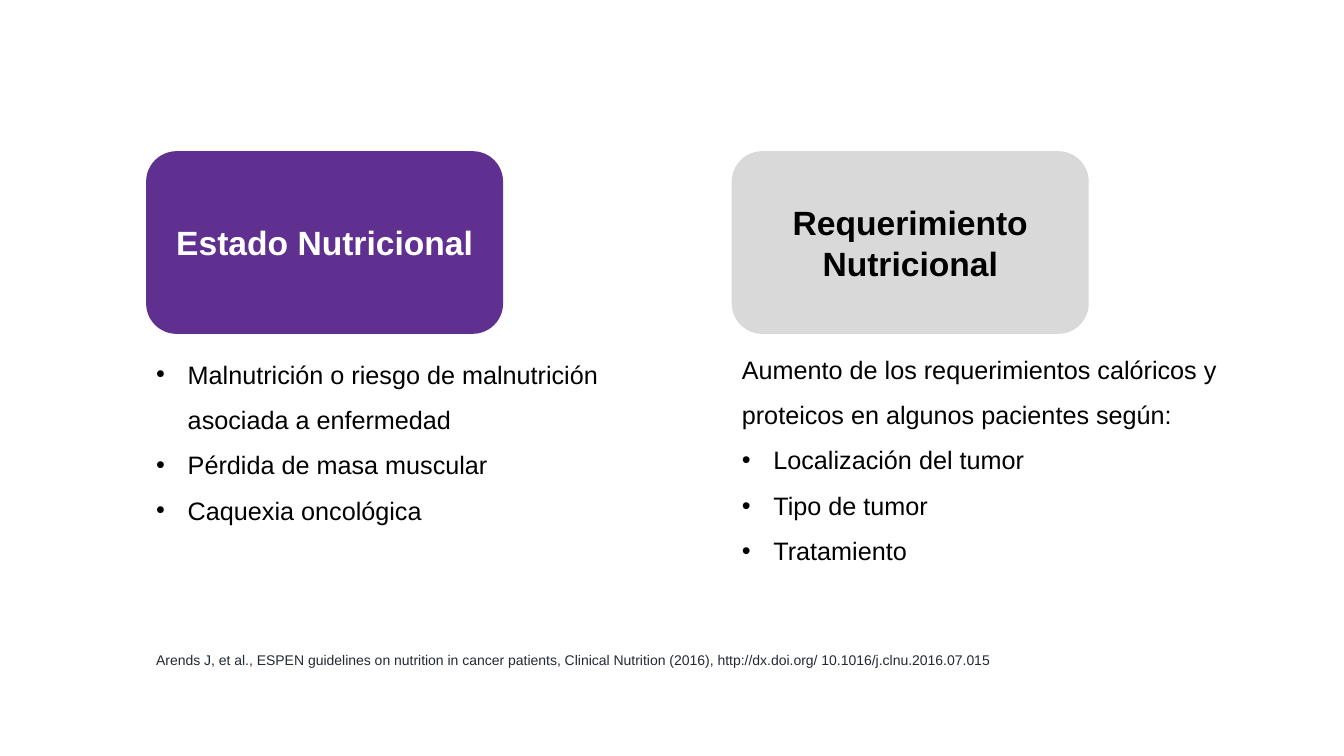
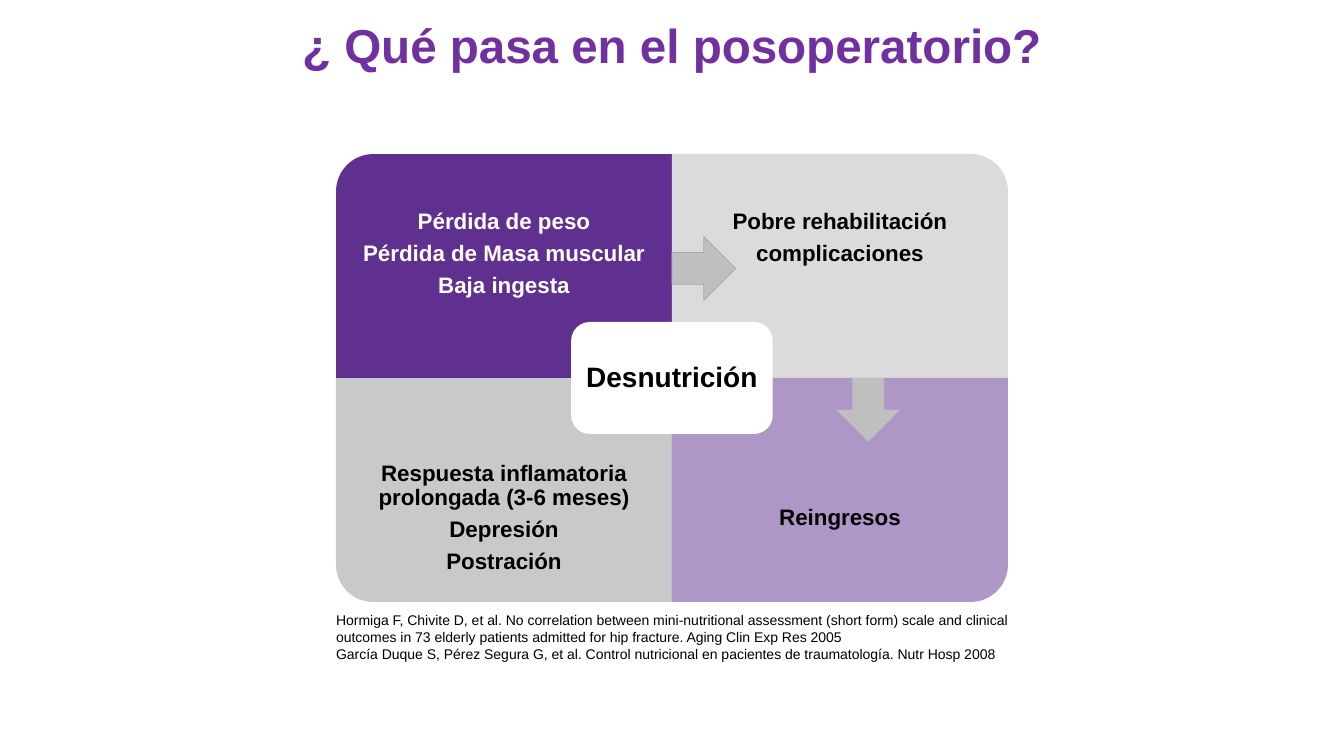
"""Build two slides on nutrition in cancer patients and after surgery."""
from pptx import Presentation
from pptx.dml.color import RGBColor
from pptx.enum.shapes import MSO_SHAPE as SHAPE
from pptx.enum.text import MSO_ANCHOR as ANCHOR, MSO_AUTO_SIZE as AUTO, PP_ALIGN as ALIGN
from pptx.oxml.ns import qn
from pptx.util import Pt
from lxml.etree import SubElement

BLACK = RGBColor(0x00, 0x00, 0x00)
WHITE = RGBColor(0xFF, 0xFF, 0xFF)
PURPLE = RGBColor(0x5F, 0x30, 0x90)
TITLE_PURPLE = RGBColor(0x70, 0x30, 0xA0)
SLATE = RGBColor(0x22, 0x2A, 0x35)
HEADING_GREY = RGBColor(0xD9, 0xD9, 0xD9)
LIGHT_GREY = RGBColor(0xDB, 0xDB, 0xDB)
MID_GREY = RGBColor(0xC9, 0xC9, 0xC9)
ARROW_GREY = RGBColor(0xBF, 0xBF, 0xBF)
ARROW_EDGE = RGBColor(0xA6, 0xA6, 0xA6)

FONT = "Arial"
SLIDE_W, SLIDE_H = 960, 540
BULLET_INDENT = 22.5

COLUMNS = [
    dict(heading="Estado Nutricional", fill=PURPLE, color=WHITE,
         left=104.4, top=242, width=343, height=134, intro=[],
         bullets=["Malnutrición o riesgo de malnutrición asociada a enfermedad",
                  "Pérdida de masa muscular",
                  "Caquexia oncológica"]),
    dict(heading="Requerimiento Nutricional", fill=HEADING_GREY, color=BLACK,
         left=522.7, top=238.5, width=394.5, height=167,
         intro=["Aumento de los requerimientos calóricos y proteicos en algunos "
                "pacientes según:"],
         bullets=["Localización del tumor", "Tipo de tumor", "Tratamiento"]),
]
GUIDELINE = ["Arends J, et al., ESPEN guidelines on nutrition in cancer patients, "
             "Clinical Nutrition (2016), http://dx.doi.org/ 10.1016/j.clnu.2016.07.015"]

QUESTION = "¿ Qué pasa en el posoperatorio?"
HUB = "Desnutrición"
QUADRANTS = [
    dict(row=0, col=0, rotation=270, fill=PURPLE, color=WHITE, drop=11.5,
         lines=["Pérdida de peso", "Pérdida de Masa muscular", "Baja ingesta"]),
    dict(row=0, col=1, rotation=0, fill=LIGHT_GREY, color=BLACK,
         lines=["Pobre rehabilitación", "complicaciones"]),
    dict(row=1, col=0, rotation=180, fill=MID_GREY, color=BLACK,
         lines=["Respuesta inflamatoria prolongada (3-6 meses)",
                "Depresión", "Postración"]),
    dict(row=1, col=1, rotation=90, fill=PURPLE, opacity=50, color=BLACK,
         lines=["Reingresos"]),
]
STUDIES = [
    "Hormiga F, Chivite D, et al. No correlation between mini-nutritional assessment "
    "(short form) scale and clinical outcomes in 73 elderly patients admitted for hip "
    "fracture. Aging Clin Exp Res 2005",
    "García Duque S, Pérez Segura G, et al. Control nutricional en pacientes de "
    "traumatología. Nutr Hosp 2008",
]


def place(shape, left, top, width, height):
    shape.left, shape.top = Pt(left), Pt(top)
    shape.width, shape.height = Pt(width), Pt(height)


def set_bullet(paragraph, bulleted):
    props = paragraph._p.get_or_add_pPr()
    indent = Pt(BULLET_INDENT) if bulleted else 0
    props.set("marL", str(indent))
    props.set("indent", str(-indent))
    if bulleted:
        SubElement(props, qn("a:buFont"), typeface=FONT)
        SubElement(props, qn("a:buChar"), char="•")
    else:
        SubElement(props, qn("a:buNone"))


def write(shape, lines, size, color, bold=False, align=ALIGN.LEFT, anchor=ANCHOR.TOP,
          spacing=1.0, after=0, inset=None, bullets=None):
    """Fill a shape with evenly formatted paragraphs."""
    frame = shape.text_frame
    frame.word_wrap = True
    frame.auto_size = AUTO.NONE
    frame.vertical_anchor = anchor
    if inset is not None:
        frame.margin_left = frame.margin_right = Pt(inset)
        frame.margin_top = frame.margin_bottom = Pt(inset)
    for index, line in enumerate(lines):
        paragraph = frame.paragraphs[0] if index == 0 else frame.add_paragraph()
        paragraph.text = line
        if bullets is not None:
            set_bullet(paragraph, line in bullets)
        paragraph.alignment = align
        paragraph.line_spacing = spacing
        paragraph.space_before = Pt(0)
        paragraph.space_after = Pt(after)
        font = paragraph.font
        font.name, font.size, font.bold = FONT, Pt(size), bold
        font.color.rgb = color


def add_panel(slide, kind, box, fill, edge=None, opacity=None):
    panel = slide.shapes.add_shape(kind, *map(Pt, box))
    panel.shadow.inherit = False
    panel.fill.solid()
    panel.fill.fore_color.rgb = fill
    if opacity is not None:
        tint = panel._element.spPr.find(qn("a:solidFill")).find(qn("a:srgbClr"))
        SubElement(tint, qn("a:alpha"), val=str(opacity * 1000))
    if edge is None:
        panel.line.fill.background()
    else:
        panel.line.color.rgb = edge
        panel.line.width = Pt(0.5)
    return panel


def add_text(slide, box, lines, size, color, **style):
    write(slide.shapes.add_textbox(*map(Pt, box)), lines, size, color, **style)


def build_status_slide(deck):
    slide = deck.slides.add_slide(deck.slide_layouts[3])
    title, *lists = slide.placeholders
    title._element.getparent().remove(title._element)
    for column, points in zip(COLUMNS, lists):
        place(points, *(column[key] for key in ("left", "top", "width", "height")))
        write(points, column["intro"] + column["bullets"], 18, BLACK,
              spacing=1.5, bullets=column["bullets"])
        heading = add_panel(slide, SHAPE.ROUNDED_RECTANGLE,
                            (column["left"], 108, 255, 130.5), column["fill"])
        write(heading, [column["heading"]], 24, column["color"], bold=True,
              align=ALIGN.CENTER, anchor=ANCHOR.MIDDLE)
    add_text(slide, (COLUMNS[0]["left"], 461.5, 625, 19.5), GUIDELINE, 10, SLATE)


def build_surgery_slide(deck):
    slide = deck.slides.add_slide(deck.slide_layouts[5])
    place(slide.shapes.title, 0, 8, SLIDE_W, 50)
    write(slide.shapes.title, [QUESTION], 34, TITLE_PURPLE, bold=True,
          align=ALIGN.CENTER)

    center_x, center_y = SLIDE_W / 2, SLIDE_H / 2
    cell_w, cell_h, text_h = 240, 160, 120
    label = dict(bold=True, align=ALIGN.CENTER, anchor=ANCHOR.MIDDLE, spacing=0.9)
    for quadrant in QUADRANTS:
        left = center_x + (quadrant["col"] - 1) * cell_w
        top = center_y + (quadrant["row"] - 1) * cell_h
        turned = quadrant["rotation"] % 180 == 90
        width, height = (cell_h, cell_w) if turned else (cell_w, cell_h)
        box = (left + (cell_w - width) / 2, top + (cell_h - height) / 2, width, height)
        panel = add_panel(slide, SHAPE.ROUND_1_RECTANGLE, box, quadrant["fill"],
                          opacity=quadrant.get("opacity"))
        panel.rotation = quadrant["rotation"]
        text_top = top + quadrant["row"] * (cell_h - text_h) + quadrant.get("drop", 0)
        add_text(slide, (left, text_top, cell_w, text_h), quadrant["lines"], 16,
                 quadrant["color"], after=5.6, inset=8.5, **label)

    hub_w, hub_h = 144, 80
    hub = add_panel(slide, SHAPE.ROUNDED_RECTANGLE,
                    (center_x - hub_w / 2, center_y - hub_h / 2, hub_w, hub_h), WHITE)
    write(hub, [HUB], 20, BLACK, inset=6, **label)

    arrow = 45.5
    add_panel(slide, SHAPE.RIGHT_ARROW, (center_x, 169, arrow, arrow),
              ARROW_GREY, edge=ARROW_EDGE)
    add_panel(slide, SHAPE.DOWN_ARROW, (597.5, center_y, arrow, arrow), ARROW_GREY)
    add_text(slide, (233, 433.5, 503.5, 44), STUDIES, 10, BLACK)


def main():
    deck = Presentation()
    deck.slide_width, deck.slide_height = Pt(SLIDE_W), Pt(SLIDE_H)
    build_status_slide(deck)
    build_surgery_slide(deck)
    deck.save("out.pptx")


if __name__ == "__main__":
    main()
